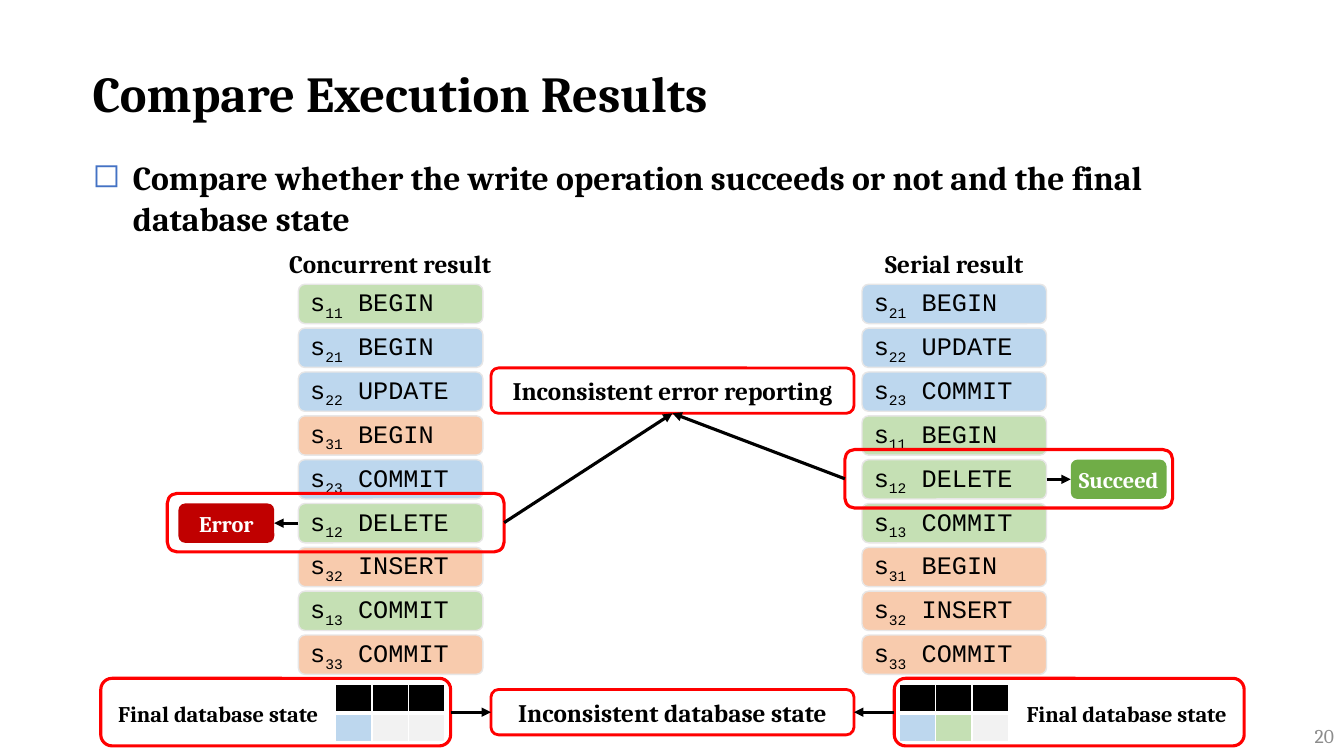
from dataclasses import dataclass

from lxml import etree
from pptx import Presentation
from pptx import util as u
from pptx.dml.color import RGBColor
from pptx.enum import shapes, text
from pptx.oxml import ns
from pptx.shapes.autoshape import Shape
from pptx.text.text import TextFrame


@dataclass(frozen=True)
class Theme:
    serif: str = "Cambria"
    mono: str = "Courier New"
    black: str = "000000"
    white: str = "FFFFFF"
    gray: str = "8C8C8C"
    bullet: str = "4472C4"
    outline: str = "E7E6E6"
    highlight: str = "FF0000"
    error: str = "C00000"
    success: str = "70AD47"
    empty: str = "F2F2F2"
    green: str = "C5E0B4"
    blue: str = "BDD7EE"
    orange: str = "F8CBAD"
    title: int = 36
    body: int = 24
    label: int = 18
    small: int = 16
    number: int = 14


THEME = Theme()
SESSION_COLORS = {"1": THEME.green, "2": THEME.blue, "3": THEME.orange}


@dataclass(frozen=True)
class Box:
    left: float
    top: float
    width: float
    height: float

    def lengths(self) -> list[u.Length]:
        return [u.Inches(v) for v in (self.left, self.top, self.width, self.height)]


@dataclass(frozen=True)
class Schedule:
    heading: str
    heading_box: Box
    left: float
    operations: tuple[str, ...]
    delete_row: int
    verdict: str
    verdict_color: str
    verdict_left: float
    verdict_side: int
    frame_left: float
    frame_width: float
    state_frame_left: float
    state_label_left: float
    state_table_left: float
    state_row: tuple[str, str, str]


OP_WIDTH, OP_HEIGHT = 1.83, 0.39
FIRST_TOP, LAST_TOP = 2.82, 6.30
LEFT, RIGHT, BOTTOM = 1, 3, 2

SCHEDULES = (
    Schedule("Concurrent result", Box(2.37, 2.41, 3, 0.4), 2.96,
             ("11 BEGIN", "21 BEGIN", "22 UPDATE", "31 BEGIN", "23 COMMIT",
              "12 DELETE", "32 INSERT", "13 COMMIT", "33 COMMIT"),
             5, "Error", THEME.error, 1.77, LEFT, 1.66, 3.34,
             1, 1, 3.33, (THEME.blue, THEME.empty, THEME.empty)),
    Schedule("Serial result", Box(7.84, 2.41, 3.25, 0.4), 8.55,
             ("21 BEGIN", "22 UPDATE", "23 COMMIT", "11 BEGIN", "12 DELETE",
              "13 COMMIT", "31 BEGIN", "32 INSERT", "33 COMMIT"),
             4, "Succeed", THEME.success, 10.62, RIGHT, 8.38, 3.25,
             8.87, 10.01, 8.92, (THEME.blue, THEME.green, THEME.empty)),
)

prs = Presentation()
prs.slide_width, prs.slide_height = u.Inches(13.33), u.Inches(7.5)
slide = prs.slides.add_slide(prs.slide_layouts[6])


def write(frame: TextFrame, words: str, size: int, color: str = THEME.black,
          bold: bool = True, align: text.PP_ALIGN = text.PP_ALIGN.CENTER,
          anchor: text.MSO_ANCHOR = text.MSO_ANCHOR.MIDDLE, wrap: bool = True) -> None:
    frame.word_wrap = wrap
    frame.vertical_anchor = anchor
    paragraph = frame.paragraphs[0]
    paragraph.text = words
    paragraph.alignment = align
    font = paragraph.runs[0].font
    font.name, font.size, font.bold = THEME.serif, u.Pt(size), bold
    font.color.rgb = RGBColor.from_string(color)


def add_text(box: Box, words: str, size: int, **style) -> TextFrame:
    frame = slide.shapes.add_textbox(*box.lengths()).text_frame
    write(frame, words, size, **style)
    return frame


def add_rounded(box: Box, fill: str | None = None, line: str | None = None,
                line_width: float = 2.25) -> Shape:
    rounded = slide.shapes.add_shape(shapes.MSO_SHAPE.ROUNDED_RECTANGLE, *box.lengths())
    rounded.shadow.inherit = False
    if fill:
        rounded.fill.solid()
        rounded.fill.fore_color.rgb = RGBColor.from_string(fill)
    else:
        rounded.fill.background()
    if line:
        rounded.line.color.rgb = RGBColor.from_string(line)
        rounded.line.width = u.Pt(line_width)
    else:
        rounded.line.fill.background()
    return rounded


def add_operation(box: Box, operation: str) -> Shape:
    index, command = operation.split()
    tile = add_rounded(box, SESSION_COLORS[index[0]], THEME.outline, 1)
    paragraph = tile.text_frame.paragraphs[0]
    paragraph.alignment = text.PP_ALIGN.LEFT
    for words in ("s", index, f" {command}"):
        run = paragraph.add_run()
        run.text = words
        run.font.name, run.font.size = THEME.mono, u.Pt(THEME.label)
        run.font.color.rgb = RGBColor.from_string(THEME.black)
    paragraph.runs[1].font._element.set("baseline", "-25000")
    return tile


def add_arrow(source: Shape, source_side: int, target: Shape, target_side: int) -> None:
    arrow = slide.shapes.add_connector(shapes.MSO_CONNECTOR.STRAIGHT, 0, 0, 0, 0)
    arrow.begin_connect(source, source_side)
    arrow.end_connect(target, target_side)
    arrow.line.color.rgb = RGBColor.from_string(THEME.black)
    arrow.line.width = u.Pt(2.25)
    etree.SubElement(arrow.line._get_or_add_ln(), ns.qn("a:tailEnd"), type="triangle")
    etree.SubElement(arrow._element.spPr, ns.qn("a:effectLst"))


def add_callout(top: float, words: str) -> Shape:
    callout = add_rounded(Box(4.87, top, 3.6, 0.45), THEME.white, THEME.highlight, 2)
    write(callout.text_frame, words, THEME.label)
    return callout


def add_state_table(box: Box, state_row: tuple[str, ...]) -> None:
    table = slide.shapes.add_table(2, len(state_row), *box.lengths()).table
    for r, colors in enumerate(((THEME.black,) * len(state_row), state_row)):
        for c, color in enumerate(colors):
            cell = table.cell(r, c)
            cell.margin_top = cell.margin_bottom = 0
            # Small end mark keeps the empty row at its set height
            etree.SubElement(cell.text_frame.paragraphs[0]._p, ns.qn("a:endParaRPr"), sz="800")
            inner_edge = "B" if r == 0 else "T"
            for side in "LRTB":
                width = u.Pt(3 if side == inner_edge else 1)
                edge = etree.SubElement(cell._tc.get_or_add_tcPr(), ns.qn(f"a:ln{side}"), w=str(width))
                solid = etree.SubElement(edge, ns.qn("a:solidFill"))
                etree.SubElement(solid, ns.qn("a:srgbClr"), val=THEME.white)
            cell.fill.solid()
            cell.fill.fore_color.rgb = RGBColor.from_string(color)


# Title, main point and slide number
title = add_text(Box(0.82, 0.34, 11.84, 0.93), "Compare Execution Results", THEME.title,
                 align=text.PP_ALIGN.LEFT, anchor=text.MSO_ANCHOR.BOTTOM)
title.paragraphs[0].line_spacing = u.Pt(46.7)
point = add_text(Box(0.82, 1.51, 11.84, 0.91),
                 "Compare whether the write operation succeeds or not and the final database state",
                 THEME.body, align=text.PP_ALIGN.LEFT, anchor=text.MSO_ANCHOR.TOP).paragraphs[0]
point.space_before = u.Pt(16)
point_format = point._p.get_or_add_pPr()
point_format.set("marL", str(u.Inches(0.4)))
point_format.set("indent", str(u.Inches(-0.4)))
bullet_color = etree.SubElement(point_format, ns.qn("a:buClr"))
etree.SubElement(bullet_color, ns.qn("a:srgbClr"), val=THEME.bullet)
etree.SubElement(point_format, ns.qn("a:buChar"), char="◻")
add_text(Box(10.33, 7.1, 3, 0.4), "20", THEME.number, color=THEME.gray, bold=False,
         align=text.PP_ALIGN.RIGHT)

# Findings shared by both schedules
error_finding = add_callout(3.65, "Inconsistent error reporting")
state_finding = add_callout(6.84, "Inconsistent database state")

# Schedules with their verdicts and final states
pitch = (LAST_TOP - FIRST_TOP) / (len(SCHEDULES[0].operations) - 1)
for schedule in SCHEDULES:
    add_text(schedule.heading_box, schedule.heading, THEME.label)
    tops = [FIRST_TOP + row * pitch for row in range(len(schedule.operations))]
    tiles = [add_operation(Box(schedule.left, top, OP_WIDTH, OP_HEIGHT), operation)
             for top, operation in zip(tops, schedule.operations)]

    delete_top = tops[schedule.delete_row]
    verdict = add_rounded(Box(schedule.verdict_left, delete_top, 0.95, OP_HEIGHT),
                          schedule.verdict_color)
    write(verdict.text_frame, schedule.verdict, THEME.small, THEME.white, wrap=False)
    inward = LEFT + RIGHT - schedule.verdict_side
    add_arrow(tiles[schedule.delete_row], schedule.verdict_side, verdict, inward)
    delete_frame = add_rounded(Box(schedule.frame_left, delete_top - 0.1, schedule.frame_width, 0.58),
                               line=THEME.highlight)
    add_arrow(delete_frame, inward, error_finding, BOTTOM)

    add_state_table(Box(schedule.state_table_left, 6.79, 1.08, 0.57), schedule.state_row)
    add_text(Box(schedule.state_label_left, 6.89, 2.33, 0.37), "Final database state", THEME.small)
    state_frame = add_rounded(Box(schedule.state_frame_left, 6.73, 3.47, 0.67), line=THEME.highlight)
    add_arrow(state_frame, inward, state_finding, schedule.verdict_side)

prs.save("out.pptx")
